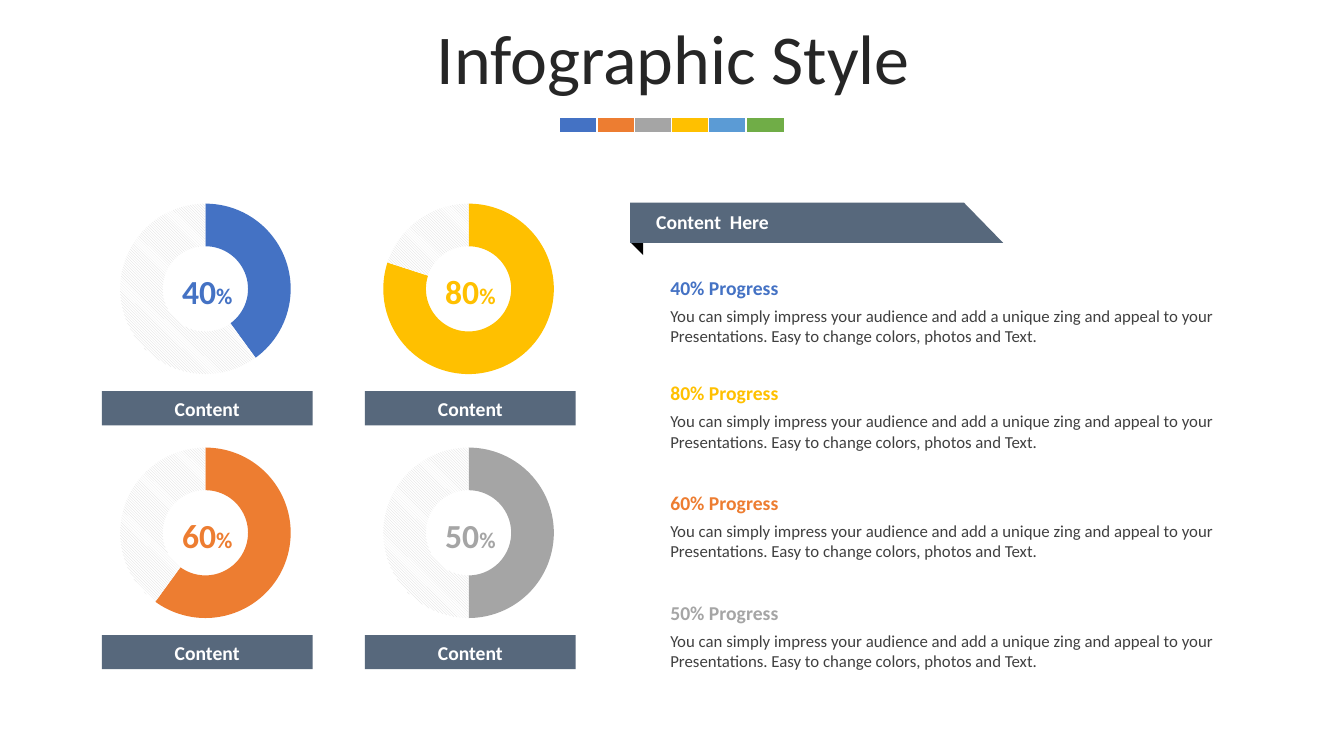
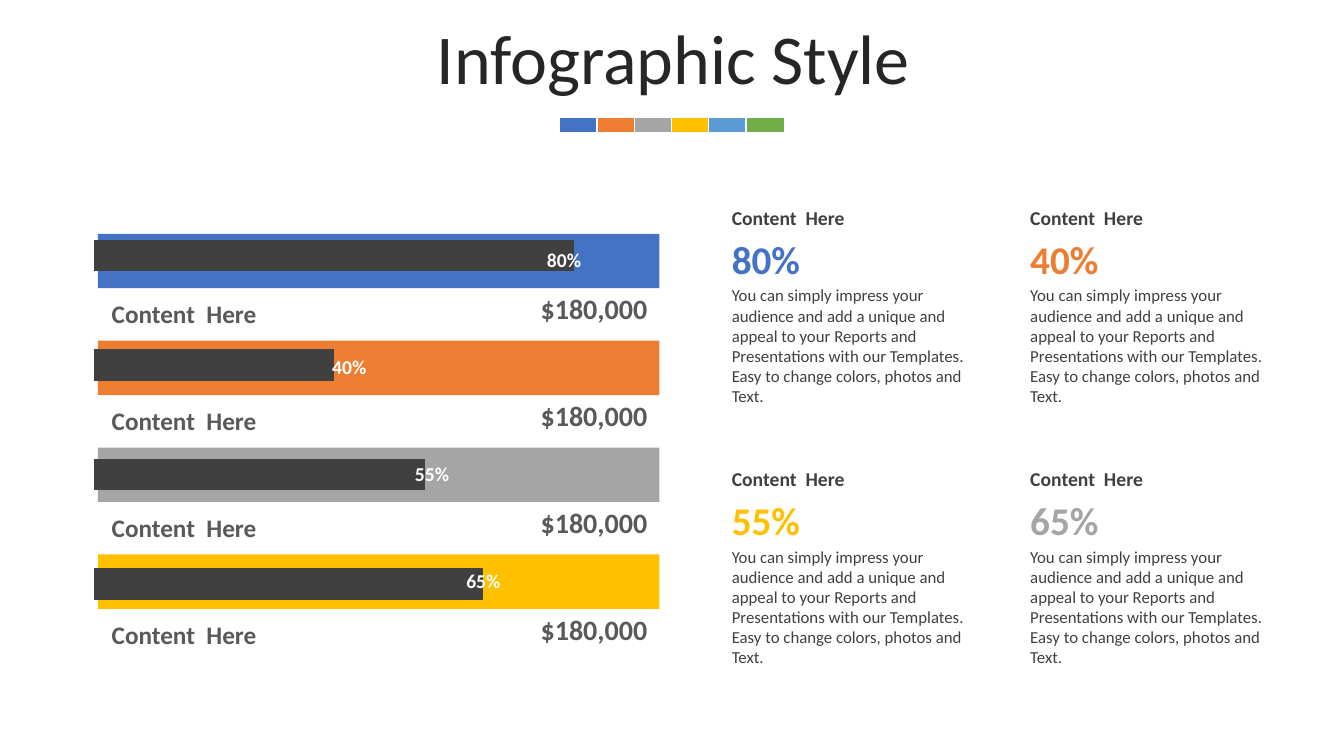
from pptx import Presentation
from pptx.chart.data import CategoryChartData
from pptx.dml.color import RGBColor
from pptx.enum.chart import XL_CHART_TYPE
from pptx.enum.dml import MSO_PATTERN
from pptx.enum.shapes import MSO_SHAPE
from pptx.enum.text import MSO_ANCHOR, MSO_AUTO_SIZE, PP_ALIGN
from pptx.oxml import parse_xml
from pptx.oxml.ns import nsdecls
from pptx.util import Inches, Pt

RECTANGLE = MSO_SHAPE.RECTANGLE
DOUGHNUT = XL_CHART_TYPE.DOUGHNUT
STACKED_BAR = XL_CHART_TYPE.BAR_STACKED
HATCH = MSO_PATTERN.LIGHT_DOWNWARD_DIAGONAL
TOP, MIDDLE = MSO_ANCHOR.TOP, MSO_ANCHOR.MIDDLE
LEFT, CENTER, RIGHT = PP_ALIGN.LEFT, PP_ALIGN.CENTER, PP_ALIGN.RIGHT
NO_AUTOFIT = MSO_AUTO_SIZE.NONE

FONT = "Calibri"
BLACK = RGBColor(0x00, 0x00, 0x00)
WHITE = RGBColor(0xFF, 0xFF, 0xFF)
INK = RGBColor(0x26, 0x26, 0x26)
CHARCOAL = RGBColor(0x40, 0x40, 0x40)
GRAPHITE = RGBColor(0x59, 0x59, 0x59)
HATCH_GRAY = RGBColor(0xD9, 0xD9, 0xD9)
SLATE = RGBColor(0x57, 0x68, 0x7C)
BLUE = RGBColor(0x44, 0x72, 0xC4)
ORANGE = RGBColor(0xED, 0x7D, 0x31)
GRAY = RGBColor(0xA5, 0xA5, 0xA5)
GOLD = RGBColor(0xFF, 0xC0, 0x00)
SKY = RGBColor(0x5B, 0x9B, 0xD5)
GREEN = RGBColor(0x70, 0xAD, 0x47)
STRIP_COLORS = (BLUE, ORANGE, GRAY, GOLD, SKY, GREEN)

TITLE = "Infographic Style"
HEADING = "Content  Here"
AMOUNT = "$180,000"
PROGRESS_TEXT = ("You can simply impress your audience and add a unique zing and appeal "
                 "to your Presentations. Easy to change colors, photos and Text.")
REPORT_TEXT = ("You can simply impress your audience and add a unique and appeal to your "
               "Reports and Presentations with our Templates. "
               "Easy to change colors, photos and Text.")

DONUTS = ((40, BLUE), (80, GOLD), (60, ORANGE), (50, GRAY))
PROGRESS_TOPS = (2.68, 3.73, 4.82, 5.91)
REPORTS = (("80%", BLUE), ("40%", ORANGE), ("55%", GOLD), ("65%", GRAY))
BARS = (("80%", 5.23, 100, BLUE), ("40%", 3.1, 50, ORANGE),
        ("55%", 3.92, 69, GRAY), ("65%", 4.43, 81, GOLD))
BAR_PITCH = 1.06


def set_font(font, size, color, bold=False):
    """Apply the deck typeface with a size, colour and weight."""
    font.name, font.size, font.bold = FONT, Pt(size), bold
    font.color.rgb = color


def add_text(slide, box, text, size, color, bold=True, align=LEFT, anchor=MIDDLE):
    """Add a wrapped one-paragraph text box and return its paragraph."""
    frame = slide.shapes.add_textbox(*map(Inches, box)).text_frame
    frame.word_wrap = True
    frame.vertical_anchor = anchor
    paragraph = frame.paragraphs[0]
    paragraph.text = text
    paragraph.alignment = align
    set_font(paragraph.font, size, color, bold)
    return paragraph


def paint(shape, color):
    """Give a shape a flat fill without line or shadow."""
    shape.shadow.inherit = False
    shape.fill.solid()
    shape.fill.fore_color.rgb = color
    shape.line.fill.background()


def add_block(slide, box, color):
    """Add a flat rectangle."""
    block = slide.shapes.add_shape(RECTANGLE, *map(Inches, box))
    paint(block, color)
    return block


def add_outline(slide, points, color):
    """Add a flat closed polygon through points given in inches."""
    corners = [(Inches(x), Inches(y)) for x, y in points]
    builder = slide.shapes.build_freeform(*corners[0], scale=1.0)
    builder.add_line_segments(corners[1:], close=True)
    paint(builder.convert_to_shape(), color)


def add_plain_chart(slide, kind, box, values, plot_box):
    """Add a one-series chart with a fixed inner plot area."""
    data = CategoryChartData()
    data.categories = [str(number + 1) for number in range(len(values))]
    data.add_series("Series 1", values)
    chart = slide.shapes.add_chart(kind, *map(Inches, box), data).chart
    chart.has_legend = chart.has_title = False
    set_font(chart.font, 18, BLACK)
    chart.plots[0].has_data_labels = False
    sizes = "".join(f'<c:{key} val="{value}"/>' for key, value in zip("xywh", plot_box))
    plot_area = chart.element.xpath("c:chart/c:plotArea")[0]
    for old_layout in plot_area.xpath("c:layout"):
        plot_area.remove(old_layout)
    plot_area.insert(0, parse_xml(
        f'<c:layout {nsdecls("c")}><c:manualLayout><c:layoutTarget val="inner"/>'
        f'<c:xMode val="edge"/><c:yMode val="edge"/>{sizes}</c:manualLayout></c:layout>'))
    return chart


def add_donut(slide, left, top, percent, color):
    """Add a progress ring with its percentage and label."""
    box = (left + 0.18, top, 1.73, 1.8)
    chart = add_plain_chart(slide, DOUGHNUT, box, (percent, 100 - percent),
                            (0, 0, 0.98, 0.94))
    chart.element.xpath("//c:holeSize")[0].set("val", "75")
    points = chart.plots[0].series[0].points
    done, rest = points[0].format.fill, points[1].format.fill
    done.solid()
    done.fore_color.rgb = color
    rest.patterned()
    rest.pattern = HATCH
    rest.fore_color.rgb, rest.back_color.rgb = HATCH_GRAY, WHITE

    figure = add_text(slide, (left + 0.6, top + 0.62, 0.89, 0.5), str(percent),
                      24, color, align=CENTER)
    sign = figure.add_run()
    sign.text = "%"
    sign.font.size = Pt(16)

    label = add_block(slide, (left, top + 1.86, 2.09, 0.34), SLATE).text_frame
    label.vertical_anchor = MIDDLE
    label.paragraphs[0].text = "Content"
    label.paragraphs[0].alignment = CENTER
    set_font(label.paragraphs[0].font, 14, WHITE, True)


def add_ribbon(slide):
    """Add the folded heading ribbon."""
    add_outline(slide, ((6.25, 2.02), (6.38, 2.03), (6.38, 2.53), (6.26, 2.41)), BLACK)
    add_outline(slide, ((6.25, 2.01), (9.56, 2.01), (9.95, 2.41), (6.25, 2.41)), SLATE)
    add_text(slide, (6.41, 2.03, 3.08, 0.34), HEADING, 14, WHITE)


def add_progress(slide, top, percent, color):
    """Add a progress heading with its paragraph."""
    add_text(slide, (6.55, top, 5.79, 0.34), f"{percent}% Progress", 14, color)
    add_text(slide, (6.55, top + 0.3, 5.79, 0.5), PROGRESS_TEXT, 12, CHARCOAL,
             bold=False, anchor=TOP)


def add_report(slide, left, top, percent, color):
    """Add a heading, large percentage and paragraph."""
    add_text(slide, (left, top, 2.64, 0.34), HEADING, 14, CHARCOAL)
    add_text(slide, (left, top + 0.79, 2.63, 1.31), REPORT_TEXT, 12, CHARCOAL,
             bold=False, anchor=TOP)
    add_text(slide, (left, top + 0.29, 2.63, 0.57), percent, 28, color)


def add_bar_chart(slide):
    """Add the dark bars, listed from the bottom up."""
    values = [value for _, _, value, _ in reversed(BARS)]
    chart = add_plain_chart(slide, STACKED_BAR, (0.82, 1.9, 5.6, 4.53), values,
                            (0.02, 0.02, 0.85, 0.96))
    plot = chart.plots[0]
    plot.gap_width, plot.overlap = 250, 100
    plot.vary_by_categories = False
    fill = plot.series[0].format.fill
    fill.solid()
    fill.fore_color.rgb = CHARCOAL
    axis = chart.value_axis
    axis.minimum_scale, axis.maximum_scale = 0, 100
    axis.has_major_gridlines = False
    axis.visible = chart.category_axis.visible = False


def add_strip(layout, slide):
    """Build the colour strip once and place it on the shared layout."""
    for index, color in enumerate(STRIP_COLORS):
        block = add_block(slide, (5.55 + index * 0.37, 1.16, 0.38, 0.16), color)
        block.line.color.rgb = WHITE
        block.line.width = Pt(1)
        layout.element.cSld.spTree.append(block.element)


def add_titled_slide(deck, layout):
    """Add a slide with the formatted title."""
    slide = deck.slides.add_slide(layout)
    title = slide.shapes.title
    title.left, title.top, title.width, title.height = map(Inches, (0.35, 0.24, 12.66, 0.79))
    frame = title.text_frame
    frame.auto_size = NO_AUTOFIT
    frame.vertical_anchor = MIDDLE
    frame.margin_left = frame.margin_top = frame.margin_right = Inches(0.1)
    frame.margin_bottom = Inches(0.05)
    heading = frame.paragraphs[0]
    heading.text = TITLE
    heading.alignment = CENTER
    heading.line_spacing = 0.7
    heading.space_before = Pt(10)
    set_font(heading.font, 50, INK)
    return slide


def fill_donut_slide(slide):
    """Fill the slide of progress rings."""
    for index, (percent, color) in enumerate(DONUTS):
        row, column = divmod(index, 2)
        add_donut(slide, 1.01 + column * 2.61, 2.02 + row * 2.42, percent, color)
    add_ribbon(slide)
    for top, (percent, color) in zip(PROGRESS_TOPS, DONUTS):
        add_progress(slide, top, percent, color)


def fill_bar_slide(slide):
    """Fill the slide of bars and reports."""
    for index, (percent, color) in enumerate(REPORTS):
        row, column = divmod(index, 2)
        add_report(slide, 7.16 + column * 2.96, 1.99 + row * 2.59, percent, color)
    for index, (_, _, _, color) in enumerate(BARS):
        add_block(slide, (0.97, 2.32 + index * BAR_PITCH, 5.57, 0.54), color)
    add_bar_chart(slide)
    for index, (percent, left, _, _) in enumerate(BARS):
        drop = index * BAR_PITCH
        add_text(slide, (1.01, 2.91 + drop, 2.2, 0.3), HEADING, 18, GRAPHITE, anchor=TOP)
        add_text(slide, (5.05, 2.84 + drop, 1.47, 0.44), AMOUNT, 20, GRAPHITE, align=RIGHT)
        add_text(slide, (left, 2.41 + drop, 0.73, 0.34), percent, 14, WHITE, align=CENTER)


def main():
    """Build and save the deck."""
    deck = Presentation()
    deck.slide_width, deck.slide_height = Inches(13.33), Inches(7.5)
    title_only = deck.slide_layouts[5]
    donut_slide = add_titled_slide(deck, title_only)
    add_strip(title_only, donut_slide)
    fill_donut_slide(donut_slide)
    fill_bar_slide(add_titled_slide(deck, title_only))
    deck.save("out.pptx")


if __name__ == "__main__":
    main()
